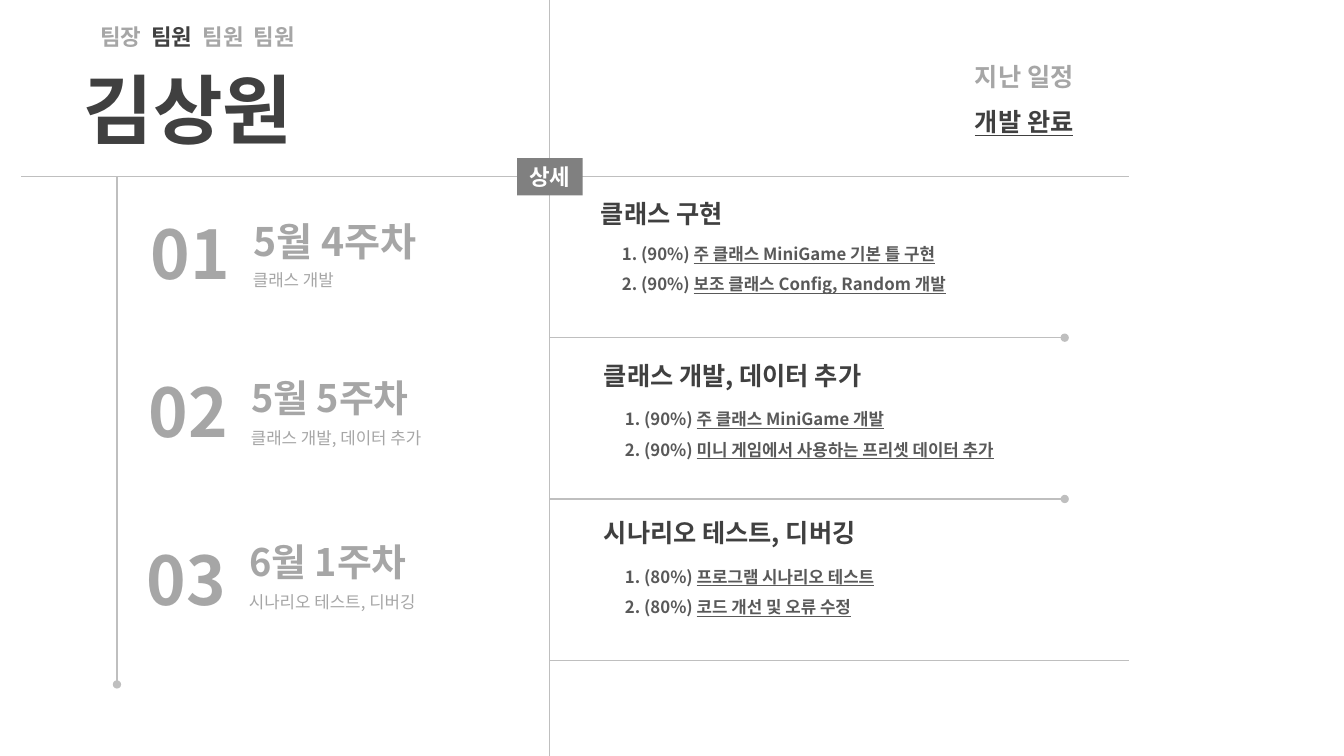
from dataclasses import dataclass

import lxml.etree
import pptx
import pptx.dml.color
import pptx.enum.shapes
import pptx.enum.text
import pptx.oxml.ns
import pptx.shapes.connector
import pptx.shapes.shapetree
import pptx.text.text
import pptx.util

Inches = pptx.util.Inches
ALIGN = pptx.enum.text.PP_ALIGN
ANCHOR = pptx.enum.text.MSO_ANCHOR


@dataclass(frozen=True)
class Theme:
    font: str = "Noto Sans CJK KR"
    badge_font: str = "Arial"
    dark: str = "404040"
    body: str = "595959"
    muted: str = "A6A6A6"
    rule: str = "BFBFBF"
    badge: str = "808080"
    white: str = "FFFFFF"
    name_size: int = 54
    number_size: int = 48
    heading_size: int = 18
    label_size: int = 16
    text_size: int = 12
    rule_width: int = 1


THEME = Theme()


@dataclass(frozen=True)
class Span:
    text: str
    size: int
    color: str
    bold: bool = True
    underline: bool = False
    font: str = THEME.font


@dataclass(frozen=True)
class Box:
    left: float
    top: float
    width: float
    height: float
    side_inset: float = 0.1


@dataclass(frozen=True)
class Week:
    number: str
    title: str
    title_size: int
    summary: str
    left: float
    number_top: float
    title_top: float


@dataclass(frozen=True)
class Detail:
    heading: str
    left: float
    top: float
    tasks_top: float
    tasks_width: float
    progress: str
    tasks: tuple[str, ...]


@dataclass(frozen=True)
class Rule:
    x1: float
    y1: float
    x2: float
    y2: float
    dot_end: bool = False


WEEKS = (
    Week("01", "5월 4주차", 28, "클래스 개발", 1.36, 2.06, 2.11),
    Week("02", "5월 5주차", 27, "클래스 개발, 데이터 추가", 1.34, 3.62, 3.67),
    Week("03", "6월 1주차", 27, "시나리오 테스트, 디버깅", 1.32, 5.29, 5.3),
)

DETAILS = (
    Detail("클래스 구현", 5.84, 1.92, 2.27, 4.29, "90%",
           ("주 클래스 MiniGame 기본 틀 구현", "보조 클래스 Config, Random 개발")),
    Detail("클래스 개발, 데이터 추가", 5.87, 3.53, 3.91, 4.47, "90%",
           ("주 클래스 MiniGame 개발", "미니 게임에서 사용하는 프리셋 데이터 추가")),
    Detail("시나리오 테스트, 디버깅", 5.87, 5.08, 5.47, 4.89, "80%",
           ("프로그램 시나리오 테스트", "코드 개선 및 오류 수정")),
)

RULES = (
    Rule(0.21, 1.75, 11.2, 1.75),
    Rule(5.45, 0, 5.45, 7.5),
    Rule(1.16, 1.75, 1.16, 6.79, dot_end=True),
    Rule(5.46, 3.35, 10.56, 3.35, dot_end=True),
    Rule(5.46, 4.95, 10.56, 4.95, dot_end=True),
    Rule(5.46, 6.55, 11.2, 6.55),
)


def rgb(value: str) -> pptx.dml.color.RGBColor:
    return pptx.dml.color.RGBColor.from_string(value)


def write_lines(frame: pptx.text.text.TextFrame, lines: list[list[Span]],
                align: ALIGN = ALIGN.LEFT, spacing: float = 1.0) -> None:
    """Write each list of spans as one paragraph."""
    for index, spans in enumerate(lines):
        paragraph = frame.add_paragraph() if index else frame.paragraphs[0]
        paragraph.alignment = align
        paragraph.line_spacing = spacing
        for span in spans:
            run = paragraph.add_run()
            run.text = span.text
            run.font.size = pptx.util.Pt(span.size)
            run.font.bold = span.bold
            run.font.underline = span.underline
            run.font.color.rgb = rgb(span.color)
            run.font.name = span.font
            east_asian = lxml.etree.SubElement(run.font._element, pptx.oxml.ns.qn("a:ea"))
            east_asian.set("typeface", THEME.font)


def add_text(shapes: pptx.shapes.shapetree.SlideShapes, box: Box, lines: list[list[Span]],
             align: ALIGN = ALIGN.LEFT, anchor: ANCHOR = ANCHOR.TOP,
             spacing: float = 1.0) -> None:
    frame = shapes.add_textbox(Inches(box.left), Inches(box.top),
                               Inches(box.width), Inches(box.height)).text_frame
    frame.word_wrap = True
    frame.auto_size = pptx.enum.text.MSO_AUTO_SIZE.SHAPE_TO_FIT_TEXT
    frame.vertical_anchor = anchor
    frame.margin_left = frame.margin_right = Inches(box.side_inset)
    write_lines(frame, lines, align, spacing)


def add_rule(shapes: pptx.shapes.shapetree.SlideShapes, rule: Rule) -> None:
    line = shapes.add_connector(pptx.enum.shapes.MSO_CONNECTOR.STRAIGHT,
                                Inches(rule.x1), Inches(rule.y1),
                                Inches(rule.x2), Inches(rule.y2))
    line.line.color.rgb = rgb(THEME.rule)
    line.line.width = pptx.util.Pt(THEME.rule_width)
    if rule.dot_end:
        tail = lxml.etree.SubElement(line.line._get_or_add_ln(), pptx.oxml.ns.qn("a:tailEnd"))
        tail.set("type", "oval")
    lxml.etree.SubElement(line._element.spPr, pptx.oxml.ns.qn("a:effectLst"))


def add_week(shapes: pptx.shapes.shapetree.SlideShapes, week: Week) -> None:
    group = shapes.add_group_shape().shapes
    add_text(group, Box(week.left + 1.05, week.title_top + 0.52, 4.93, 0.3),
             [[Span(week.summary, THEME.text_size, THEME.muted, bold=False)]])
    add_text(group, Box(week.left + 1.03, week.title_top, 4.93, 0.56, 0.12),
             [[Span(week.title, week.title_size, THEME.muted)]])
    add_text(group, Box(week.left, week.number_top, 1.05, 0.91, 0.12),
             [[Span(week.number, THEME.number_size, THEME.muted)]], ALIGN.CENTER)


def add_detail(shapes: pptx.shapes.shapetree.SlideShapes, detail: Detail) -> None:
    tasks = [[Span(f"{number}. ({detail.progress}) ", THEME.text_size, THEME.body),
              Span(task, THEME.text_size, THEME.body, underline=True)]
             for number, task in enumerate(detail.tasks, 1)]
    add_text(shapes, Box(detail.left + 0.23, detail.tasks_top, detail.tasks_width, 0.67),
             tasks, spacing=1.5)
    add_text(shapes, Box(detail.left, detail.top, 4.93, 0.4, 0.12),
             [[Span(detail.heading, THEME.heading_size, THEME.dark)]])


def add_badge(shapes: pptx.shapes.shapetree.SlideShapes) -> None:
    badge = shapes.add_shape(pptx.enum.shapes.MSO_SHAPE.RECTANGLE,
                             Inches(5.13), Inches(1.57), Inches(0.65), Inches(0.37))
    badge.shadow.inherit = False
    badge.fill.solid()
    badge.fill.fore_color.rgb = rgb(THEME.badge)
    badge.line.fill.background()
    badge.text_frame.vertical_anchor = ANCHOR.MIDDLE
    write_lines(badge.text_frame, [[Span("상세", THEME.label_size, THEME.white,
                                        font=THEME.badge_font)]], ALIGN.CENTER)


def main() -> None:
    deck = pptx.Presentation()
    deck.slide_width, deck.slide_height = Inches(13.33), Inches(7.5)
    shapes = deck.slides.add_slide(deck.slide_layouts[6]).shapes
    for rule in RULES:
        add_rule(shapes, rule)
    add_text(shapes, Box(0.73, 0.57, 2.89, 1.01),
             [[Span("김상원", THEME.name_size, THEME.dark)]], anchor=ANCHOR.MIDDLE)
    for week in WEEKS:
        add_week(shapes, week)
    add_badge(shapes)
    for detail in DETAILS:
        add_detail(shapes, detail)
    add_text(shapes, Box(9.55, 0.41, 1.41, 0.95, 0.12),
             [[Span("지난 일정", THEME.heading_size, THEME.muted)],
              [Span("개발 완료", THEME.heading_size, THEME.dark, underline=True)]], spacing=1.5)
    add_text(shapes, Box(0.66, 0.18, 2.6, 0.37),
             [[Span("팀장", THEME.label_size, THEME.muted),
               Span("  팀원  ", THEME.label_size, THEME.dark),
               Span("팀원  팀원", THEME.label_size, THEME.muted)]], ALIGN.CENTER, ANCHOR.MIDDLE)
    deck.save("out.pptx")


if __name__ == "__main__":
    main()
